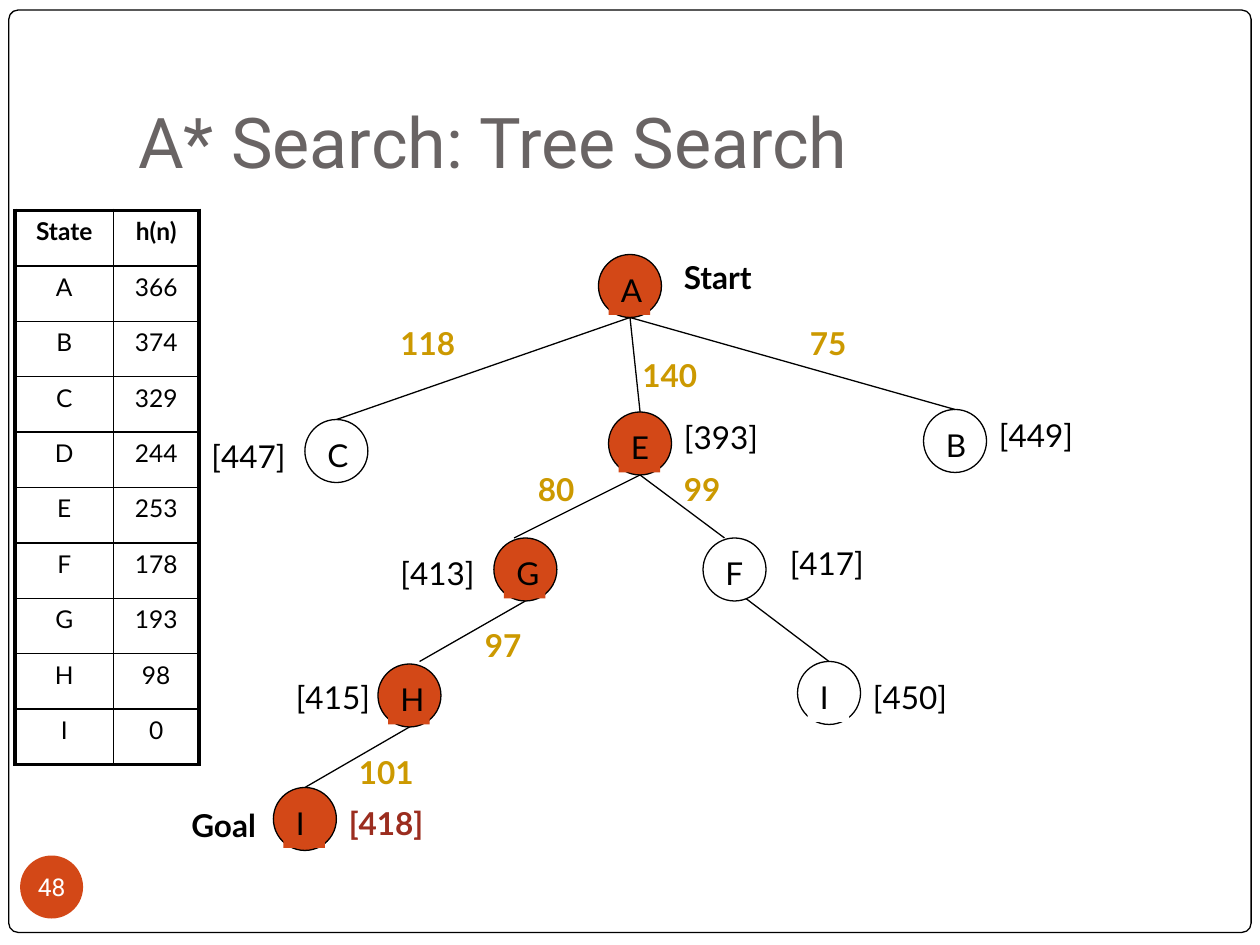
"""Build the A* tree search slide with its heuristic table and search tree."""
import pptx
import pptx.dml.color
import pptx.enum.shapes
import pptx.enum.text
import pptx.oxml.ns
import pptx.util
from lxml import etree
from pptx.util import Inches

THEME = {
    "black": "000000", "white": "FFFFFF", "title": "696464",
    "accent": "D34817", "cost": "CC9900", "goal": "9B2D1F",
    "heading_font": "Roboto", "body_font": "Lato",
    "title_size": 40, "body_size": 18, "small_size": 14,
    "thin": 0.75, "grid": 1, "border": 2.25,
}
TITLE = "A* Search: Tree Search"
PAGE_NUMBER = "48"
HEURISTICS = [
    ("State", "h(n)"), ("A", "366"), ("B", "374"), ("C", "329"), ("D", "244"),
    ("E", "253"), ("F", "178"), ("G", "193"), ("H", "98"), ("I", "0"),
]
COLUMN_WIDTHS = (0.78, 0.68)
ROW_HEIGHT = 0.44
NODE_SIZE, LABEL_INSET = 0.5, 0.08
LABEL_WIDTH, LABEL_HEIGHT = 0.33, 0.4

# name: letter, left, top, fill
NODES = {
    "A": ("A", 4.75, 2.02, "accent"),
    "B": ("B", 7.33, 3.25, None),
    "C": ("C", 2.42, 3.33, None),
    "E": ("E", 4.83, 3.27, "accent"),
    "F": ("F", 5.58, 4.27, None),
    "Goal": ("I", 2.17, 6.25, "accent"),
    "G": ("G", 3.92, 4.27, "accent"),
    "H": ("H", 3.0, 5.27, "accent"),
    "I": ("I", 6.33, 5.25, "white"),
}
# parent, child, shift of the start, shift of the end
EDGES = [
    ("A", "B", (0, 0), (0, 0)),
    ("A", "E", (0, 0), (0, 0)),
    ("A", "C", (0, 0), (0, 0)),
    ("E", "F", (0, 0), (-0.08, 0)),
    ("E", "G", (0, 0), (-0.09, 0)),
    ("G", "H", (0, 0), (0.08, -0.02)),
    ("H", "Goal", (0, 0), (0, 0)),
    ("F", "I", (0.09, -0.02), (0, 0)),
]
# colour, bold, then text, left, top, width
CAPTIONS = [
    ("cost", True, [
        ("99", 5.33, 3.68, 0.67), ("80", 4.17, 3.68, 0.67), ("97", 3.75, 4.92, 0.67),
        ("101", 2.75, 5.93, 0.92), ("75", 6.33, 2.52, 0.67), ("118", 3.08, 2.52, 0.83),
        ("140", 5.0, 2.78, 0.83)]),
    ("black", False, [
        ("[393]", 5.33, 3.27, 0.83), ("[449]", 7.83, 3.25, 0.83), ("[447]", 1.58, 3.42, 0.83),
        ("[417]", 6.17, 4.27, 0.83), ("[413]", 3.08, 4.35, 0.83), ("[415]", 2.25, 5.33, 0.83),
        ("[450]", 6.83, 5.33, 0.83)]),
    ("black", True, [("Start", 5.33, 2.0, 1.33), ("Goal", 1.42, 6.35, 1.33)]),
    ("goal", True, [("[418]", 2.67, 6.33, 1.0)]),
]


def colour(name):
    return pptx.dml.color.RGBColor.from_string(THEME[name])


def write(frame, text, size, color="black", font="body_font", bold=False, centred=False):
    frame.text = text
    para = frame.paragraphs[0]
    para.alignment = pptx.enum.text.PP_ALIGN.CENTER if centred else pptx.enum.text.PP_ALIGN.LEFT
    for span in para.runs:
        span.font.name = THEME[font]
        span.font.size = pptx.util.Pt(THEME[size])
        span.font.bold = bold
        span.font.color.rgb = colour(color)


def add_box(shapes, left, top, width, height, text, size="body_size", **style):
    box = shapes.add_textbox(Inches(left), Inches(top), Inches(width), Inches(height))
    box.text_frame.word_wrap = True
    write(box.text_frame, text, size, **style)
    return box


def add_outline(shapes, kind, left, top, width, height, fill=None, line="black"):
    kind = getattr(pptx.enum.shapes.MSO_SHAPE, kind)
    shape = shapes.add_shape(kind, Inches(left), Inches(top), Inches(width), Inches(height))
    shape.shadow.inherit = False
    if fill:
        shape.fill.solid()
        shape.fill.fore_color.rgb = colour(fill)
    else:
        shape.fill.background()
    if line:
        shape.line.color.rgb = colour(line)
        shape.line.width = pptx.util.Pt(THEME["thin"])
    else:
        shape.line.fill.background()
    return shape


def add_node(page, letter, left, top, fill):
    group = page.shapes.add_group_shape()
    add_outline(group.shapes, "OVAL", left, top, NODE_SIZE, NODE_SIZE, fill)
    label = add_box(group.shapes, left + LABEL_INSET, top + LABEL_INSET,
                    LABEL_WIDTH, LABEL_HEIGHT, letter)
    if fill:
        label.fill.solid()
        label.fill.fore_color.rgb = colour(fill)


def add_edge(page, parent, child, start_shift, end_shift):
    ends = []
    for name, drop, shift in ((parent, NODE_SIZE, start_shift), (child, 0, end_shift)):
        left, top = NODES[name][1:3]
        ends += [Inches(left + NODE_SIZE / 2 + shift[0]), Inches(top + drop + shift[1])]
    edge = page.shapes.add_connector(pptx.enum.shapes.MSO_CONNECTOR.STRAIGHT, *ends)
    edge.line.color.rgb = colour("black")
    edge.line.width = pptx.util.Pt(THEME["thin"])
    etree.SubElement(edge._element.spPr, pptx.oxml.ns.qn("a:effectLst"))


def set_borders(cell, outer_sides):
    qn = pptx.oxml.ns.qn
    properties = cell._tc.get_or_add_tcPr()
    for side in "LRTB":
        weight = THEME["border" if side in outer_sides else "grid"]
        line = etree.SubElement(properties, qn(f"a:ln{side}"), w=str(pptx.util.Pt(weight)))
        fill = etree.SubElement(line, qn("a:solidFill"))
        etree.SubElement(fill, qn("a:srgbClr"), val=THEME["black"])


def add_heuristics(page):
    rows, columns = len(HEURISTICS), len(COLUMN_WIDTHS)
    table = page.shapes.add_table(rows, columns, Inches(0.12), Inches(1.67),
                                  Inches(sum(COLUMN_WIDTHS)), Inches(rows * ROW_HEIGHT)).table
    table.first_row = table.horz_banding = False
    for column, width in zip(table.columns, COLUMN_WIDTHS):
        column.width = Inches(width)
    for r, values in enumerate(HEURISTICS):
        table.rows[r].height = Inches(ROW_HEIGHT)
        for c, value in enumerate(values):
            cell = table.cell(r, c)
            edges = {"L": c == 0, "R": c == columns - 1, "T": r == 0, "B": r == rows - 1}
            set_borders(cell, [side for side, outer in edges.items() if outer])
            cell.fill.background()
            write(cell.text_frame, value, "small_size", bold=r == 0, centred=True)


def main():
    deck = pptx.Presentation()
    deck.slide_width, deck.slide_height = Inches(10), Inches(7.5)
    page = deck.slides.add_slide(deck.slide_layouts[6])

    frame = add_outline(page.shapes, "ROUNDED_RECTANGLE", 0.07, 0.08, 9.86, 7.32, "white")
    frame.adjustments[0] = 0.01
    title = add_box(page.shapes, 1, 0.3, 8.5, 1.25, TITLE, "title_size",
                    color="title", font="heading_font")
    title.text_frame.vertical_anchor = pptx.enum.text.MSO_ANCHOR.BOTTOM
    title.text_frame.margin_bottom = Inches(0.1)

    badge = add_outline(page.shapes, "OVAL", 0.16, 6.79, 0.5, 0.5, "accent", None)
    text = badge.text_frame
    text.margin_left = text.margin_right = text.margin_top = text.margin_bottom = 0
    text.vertical_anchor = pptx.enum.text.MSO_ANCHOR.MIDDLE
    write(text, PAGE_NUMBER, "small_size", color="white", font="heading_font", centred=True)

    for node in NODES.values():
        add_node(page, *node)
    for edge in EDGES:
        add_edge(page, *edge)
    for color, bold, captions in CAPTIONS:
        for caption, left, top, width in captions:
            add_box(page.shapes, left, top, width, LABEL_HEIGHT, caption, color=color, bold=bold)
    add_heuristics(page)
    deck.save("out.pptx")


if __name__ == "__main__":
    main()
